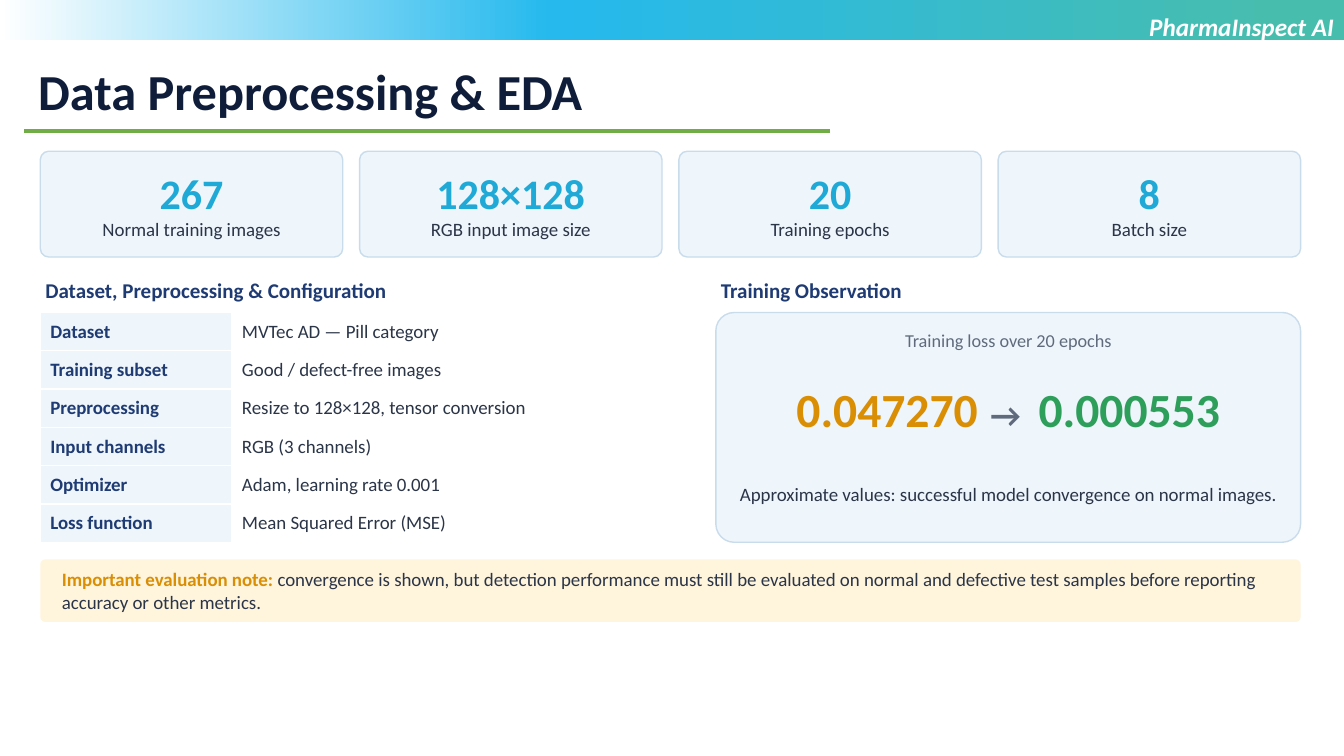
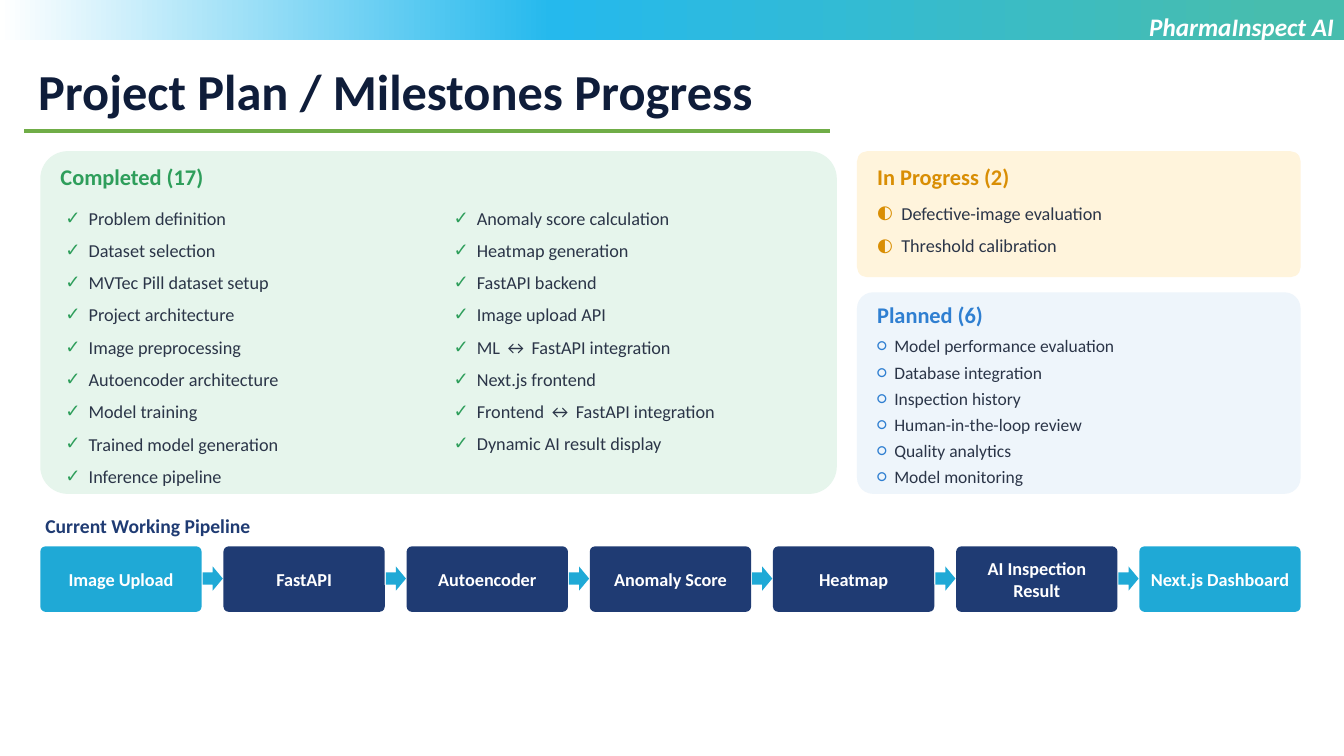
"""Build the preprocessing and milestones slides of a pill inspection deck."""
from typing import NamedTuple

from lxml.etree import SubElement
from pptx import Presentation
from pptx.dml.color import RGBColor
from pptx.enum.shapes import MSO_CONNECTOR, MSO_SHAPE
from pptx.enum.text import MSO_ANCHOR as Anchor, PP_ALIGN as Align
from pptx.oxml.ns import qn
from pptx.util import Inches, Pt

FONT = "Calibri"
COLORS = {
    "white": "FFFFFF", "title": "0F1D3A", "rule": "70AD47", "navy": "1F3B73",
    "body": "2B3548", "muted": "5F6B7D", "cyan": "1FA9D6", "blue": "2F7FD1",
    "green": "2E9E5B", "amber": "D98E04", "pale_blue": "EEF5FB",
    "pale_green": "E6F5EC", "pale_amber": "FFF4DC", "outline": "C9DCEC",
    "band_teal": "47BDAE", "band_blue": "25B9ED",
}
BAND_STOPS = [(5, "band_teal"), (59, "band_blue"), (100, "white")]
LEFT, CONTENT_WIDTH = 0.4, 12.5
TIGHT = (0.05, 0.03)
LINE_FACTOR = 1.22


class Box(NamedTuple):
    left: float
    top: float
    width: float
    height: float

    def lengths(self):
        return [Inches(value) for value in self]


class Stat(NamedTuple):
    value: str
    label: str


class Checklist(NamedTuple):
    box: Box
    mark: str
    color: str
    size: float
    pitch: float
    indent: float
    items: list[str]


class Panel(NamedTuple):
    box: Box
    fill: str
    heading_box: Box
    heading: str
    color: str


STATS = [
    Stat("267", "Normal training images"),
    Stat("128×128", "RGB input image size"),
    Stat("20", "Training epochs"),
    Stat("8", "Batch size"),
]
CONFIGURATION = [
    ("Dataset", "MVTec AD — Pill category"),
    ("Training subset", "Good / defect-free images"),
    ("Preprocessing", "Resize to 128×128, tensor conversion"),
    ("Input channels", "RGB (3 channels)"),
    ("Optimizer", "Adam, learning rate 0.001"),
    ("Loss function", "Mean Squared Error (MSE)"),
]
PANELS = [
    Panel(Box(LEFT, 1.5, 7.9, 3.4), "pale_green", Box(0.55, 1.55, 7.5, 0.4), "Completed (17)", "green"),
    Panel(Box(8.5, 1.5, 4.4, 1.25), "pale_amber", Box(8.65, 1.55, 4.1, 0.4), "In Progress (2)", "amber"),
    Panel(Box(8.5, 2.9, 4.4, 2), "pale_blue", Box(8.65, 2.93, 4.1, 0.38), "Planned (6)", "blue"),
]
CHECKLISTS = [
    Checklist(Box(0.6, 2, 3.8, 2.88), "✓", "green", 13, 0.32, 0.23, [
        "Problem definition", "Dataset selection", "MVTec Pill dataset setup",
        "Project architecture", "Image preprocessing", "Autoencoder architecture",
        "Model training", "Trained model generation", "Inference pipeline",
    ]),
    Checklist(Box(4.45, 2, 3.8, 2.56), "✓", "green", 13, 0.32, 0.23, [
        "Anomaly score calculation", "Heatmap generation", "FastAPI backend",
        "Image upload API", "ML ↔ FastAPI integration", "Next.js frontend",
        "Frontend ↔ FastAPI integration", "Dynamic AI result display",
    ]),
    Checklist(Box(8.65, 1.95, 4.1, 0.64), "◐", "amber", 13, 0.32, 0.24, [
        "Defective-image evaluation", "Threshold calibration",
    ]),
    Checklist(Box(8.65, 3.3, 4.1, 1.56), "○", "blue", 12.5, 0.26, 0.17, [
        "Model performance evaluation", "Database integration", "Inspection history",
        "Human-in-the-loop review", "Quality analytics", "Model monitoring",
    ]),
]
PIPELINE = [
    "Image Upload", "FastAPI", "Autoencoder", "Anomaly Score",
    "Heatmap", "AI Inspection Result", "Next.js Dashboard",
]


def rgb(name: str) -> RGBColor:
    return RGBColor.from_string(COLORS[name])


def write(paragraph, text: str, *, size: float, color: str, bold=False, italic=False,
          align=Align.LEFT, tracking=0.0) -> None:
    paragraph.alignment = align
    run = paragraph.add_run()
    run.text = text
    font = run.font
    font.name, font.size, font.bold, font.italic = FONT, Pt(size), bold, italic
    font.color.rgb = rgb(color)
    if tracking:
        run._r.get_or_add_rPr().set("spc", str(round(tracking * 100)))


def set_frame(frame, insets: tuple[float, float], anchor) -> None:
    frame.word_wrap = True
    frame.vertical_anchor = anchor
    frame.margin_left = frame.margin_right = Inches(insets[0])
    frame.margin_top = frame.margin_bottom = Inches(insets[1])


def add_text_frame(slide, box: Box, insets=TIGHT, anchor=Anchor.MIDDLE):
    frame = slide.shapes.add_textbox(*box.lengths()).text_frame
    set_frame(frame, insets, anchor)
    return frame


def add_label(slide, box: Box, text: str, *, insets=TIGHT, anchor=Anchor.MIDDLE, **style) -> None:
    write(add_text_frame(slide, box, insets, anchor).paragraphs[0], text, **style)


def add_block(slide, box: Box, fill: str, *, kind=MSO_SHAPE.ROUNDED_RECTANGLE,
              outline: str | None = None, insets=(0.1, 0.05)):
    shape = slide.shapes.add_shape(kind, *box.lengths())
    shape.shadow.inherit = False
    shape.fill.solid()
    shape.fill.fore_color.rgb = rgb(fill)
    if kind == MSO_SHAPE.ROUNDED_RECTANGLE:
        shape.adjustments[0] = 0.08
    if outline:
        shape.line.color.rgb = rgb(outline)
        shape.line.width = Pt(1)
    else:
        shape.line.fill.background()
    set_frame(shape.text_frame, insets, Anchor.MIDDLE)
    return shape


def add_band(slide) -> None:
    band = add_block(slide, Box(0, 0, 13.33, 0.4), "white", kind=MSO_SHAPE.RECTANGLE)
    band.fill.gradient()
    band.fill.gradient_angle = 180
    stops = band._element.spPr.find(f"{qn('a:gradFill')}/{qn('a:gsLst')}")
    stops.clear()
    for position, color in BAND_STOPS:
        stop = SubElement(stops, qn("a:gs"), pos=str(position * 1000))
        SubElement(stop, qn("a:srgbClr"), val=COLORS[color])


def add_titled_slide(presentation, title: str):
    slide = presentation.slides.add_slide(presentation.slide_layouts[6])
    add_band(slide)
    heading = {"insets": (0.1, 0.05), "anchor": Anchor.TOP, "bold": True}
    add_label(slide, Box(0.28, 0.55, 11.62, 0.71), title, size=36, color="title", **heading)
    rule = slide.shapes.add_connector(
        MSO_CONNECTOR.STRAIGHT, Inches(0.24), Inches(1.3), Inches(8.23), Inches(1.3))
    rule.line.color.rgb = rgb("rule")
    rule.line.width = Pt(2.25)
    SubElement(rule._element.spPr, qn("a:effectLst"))
    add_label(slide, Box(6.66, 0.06, 6.67, 0.71), "PharmaInspect AI", size=18,
              color="white", italic=True, align=Align.RIGHT, **heading)
    return slide


def add_stats(slide) -> None:
    width = 3
    pitch = (CONTENT_WIDTH - width) / (len(STATS) - 1)
    for index, stat in enumerate(STATS):
        box = Box(LEFT + index * pitch, 1.5, width, 1.05)
        frame = add_block(slide, box, "pale_blue", outline="outline").text_frame
        write(frame.paragraphs[0], stat.value, size=30, color="cyan", bold=True, align=Align.CENTER)
        write(frame.add_paragraph(), stat.label, size=13.5, color="body", align=Align.CENTER)


def add_configuration(slide) -> None:
    box = Box(LEFT, 3.1, 6.4, 2.28)
    table = slide.shapes.add_table(len(CONFIGURATION), 2, *box.lengths()).table
    table.first_row = table.horz_banding = False
    for column, width in zip(table.columns, (1.9, 4.5)):
        column.width = Inches(width)
    styles = [("pale_blue", "navy", True), ("white", "body", False)]
    for row, texts in enumerate(CONFIGURATION):
        for column, (text, (fill, color, bold)) in enumerate(zip(texts, styles)):
            cell = table.cell(row, column)
            cell.fill.solid()
            cell.fill.fore_color.rgb = rgb(fill)
            cell.vertical_anchor = Anchor.MIDDLE
            cell.margin_top = cell.margin_bottom = Inches(0.03)
            write(cell.text_frame.paragraphs[0], text, size=13.5, color=color, bold=bold)


def add_observation(slide) -> None:
    add_block(slide, Box(7.1, 3.1, 5.8, 2.28), "pale_blue", outline="outline")
    add_label(slide, Box(7.2, 3.2, 5.6, 0.35), "Training loss over 20 epochs",
              size=13, color="muted", align=Align.CENTER)
    losses = add_text_frame(slide, Box(7.2, 3.65, 5.6, 0.8)).paragraphs[0]
    emphasis = {"bold": True, "align": Align.CENTER}
    write(losses, "0.047270", size=34, color="amber", **emphasis)
    write(losses, " → ", size=24, color="muted", tracking=3.6, **emphasis)
    write(losses, "0.000553", size=34, color="green", **emphasis)
    add_label(slide, Box(7.2, 4.5, 5.6, 0.8),
              "Approximate values: successful model convergence on normal images.",
              size=13.5, color="body", align=Align.CENTER)


def add_evaluation_note(slide) -> None:
    note = add_block(slide, Box(LEFT, 5.55, CONTENT_WIDTH, 0.62), "pale_amber", insets=(0.2, 0.03))
    paragraph = note.text_frame.paragraphs[0]
    write(paragraph, "Important evaluation note: ", size=13.5, color="amber", bold=True)
    write(paragraph, "convergence is shown, but detection performance must still be evaluated on "
          "normal and defective test samples before reporting accuracy or other metrics.",
          size=13.5, color="body")


def add_checklist(slide, checklist: Checklist) -> None:
    box = checklist.box
    lift = (checklist.pitch - checklist.size * LINE_FACTOR / 72) / 2
    frame = add_text_frame(slide, box._replace(top=box.top - lift), (0.05, 0), Anchor.TOP)
    for index, item in enumerate(checklist.items):
        paragraph = frame.add_paragraph() if index else frame.paragraphs[0]
        properties = paragraph._p.get_or_add_pPr()
        indent = Inches(checklist.indent)
        properties.set("marL", str(indent))
        properties.set("indent", str(-indent))
        color = SubElement(properties, qn("a:buClr"))
        SubElement(color, qn("a:srgbClr"), val=COLORS[checklist.color])
        SubElement(properties, qn("a:buFont"), typeface=FONT)
        SubElement(properties, qn("a:buChar"), char=checklist.mark)
        paragraph.line_spacing = Pt(checklist.pitch * 72)
        write(paragraph, item, size=checklist.size, color="body")


def add_pipeline(slide) -> None:
    width, top, height = 1.6, 5.42, 0.65
    pitch = (CONTENT_WIDTH - width) / (len(PIPELINE) - 1)
    last = len(PIPELINE) - 1
    for index, step in enumerate(PIPELINE):
        left = LEFT + index * pitch
        fill = "cyan" if index in (0, last) else "navy"
        block = add_block(slide, Box(left, top, width, height), fill, insets=(0.05, 0.02))
        write(block.text_frame.paragraphs[0], step, size=13, color="white", bold=True,
              align=Align.CENTER)
        if index < last:
            add_block(slide, Box(left + width + 0.01, 5.62, 0.2, 0.24), "cyan",
                      kind=MSO_SHAPE.RIGHT_ARROW)


def build_preprocessing(presentation) -> None:
    slide = add_titled_slide(presentation, "Data Preprocessing & EDA")
    add_stats(slide)
    heading = {"size": 15, "color": "navy", "bold": True}
    add_label(slide, Box(LEFT, 2.7, 6, 0.35), "Dataset, Preprocessing & Configuration", **heading)
    add_configuration(slide)
    add_label(slide, Box(7.1, 2.7, 5.8, 0.35), "Training Observation", **heading)
    add_observation(slide)
    add_evaluation_note(slide)


def build_milestones(presentation) -> None:
    slide = add_titled_slide(presentation, "Project Plan / Milestones Progress")
    for panel in PANELS:
        add_block(slide, panel.box, panel.fill)
        add_label(slide, panel.heading_box, panel.heading, size=16, color=panel.color, bold=True)
    for checklist in CHECKLISTS:
        add_checklist(slide, checklist)
    add_label(slide, Box(LEFT, 5.05, 6, 0.32), "Current Working Pipeline",
              size=14, color="navy", bold=True)
    add_pipeline(slide)


def main() -> None:
    presentation = Presentation()
    presentation.slide_width, presentation.slide_height = Inches(13.33), Inches(7.5)
    build_preprocessing(presentation)
    build_milestones(presentation)
    presentation.save("out.pptx")


if __name__ == "__main__":
    main()
